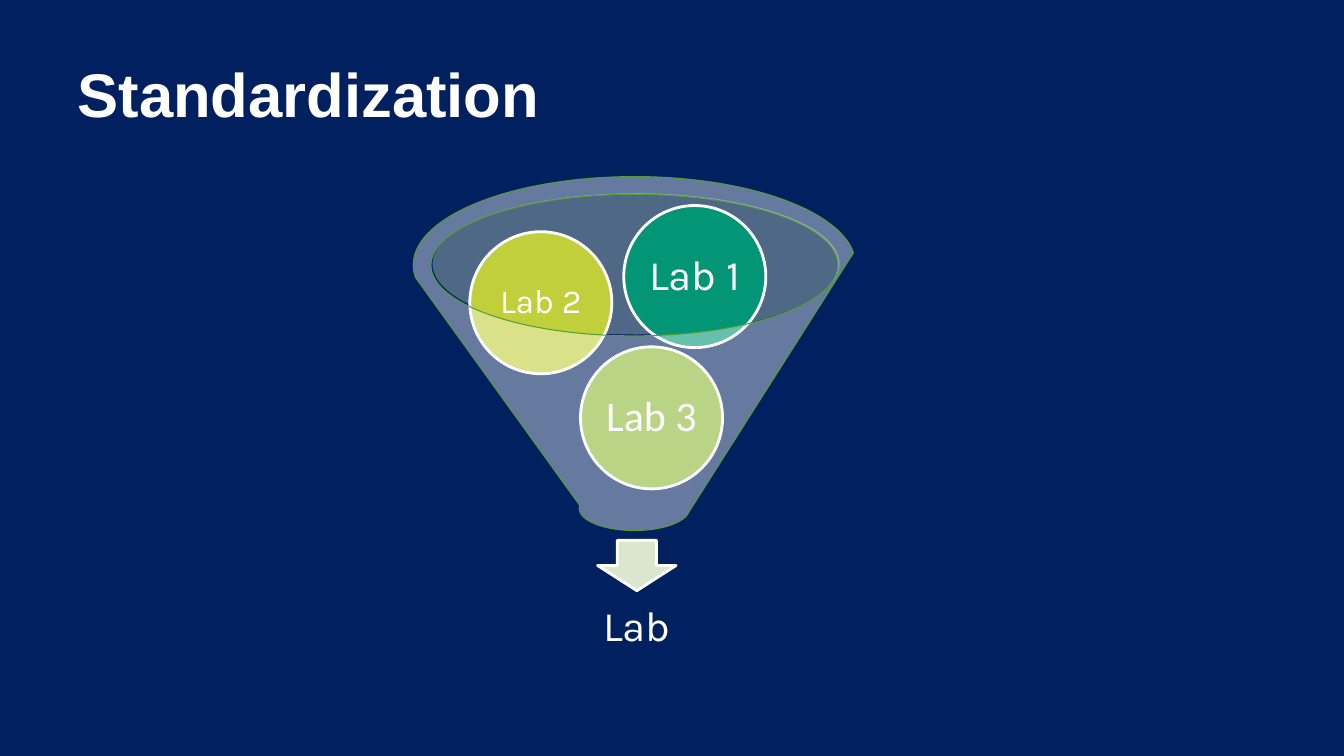
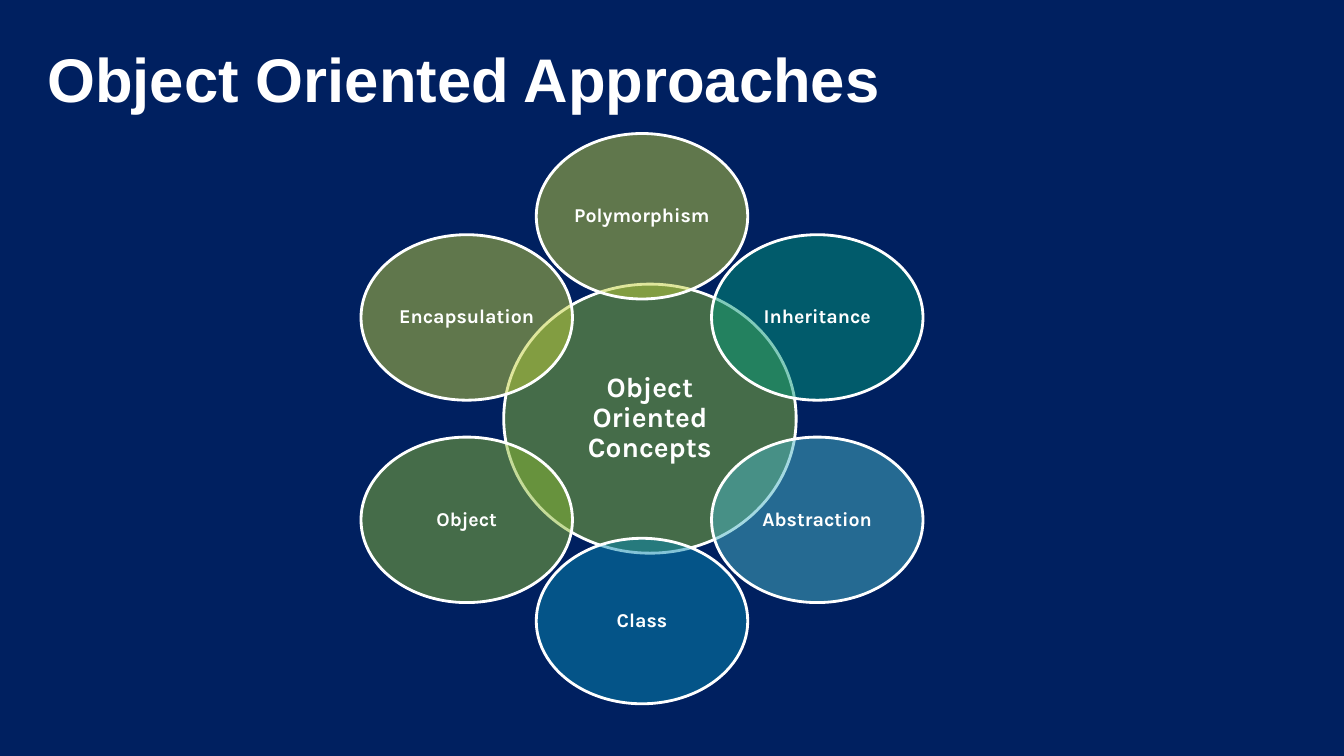
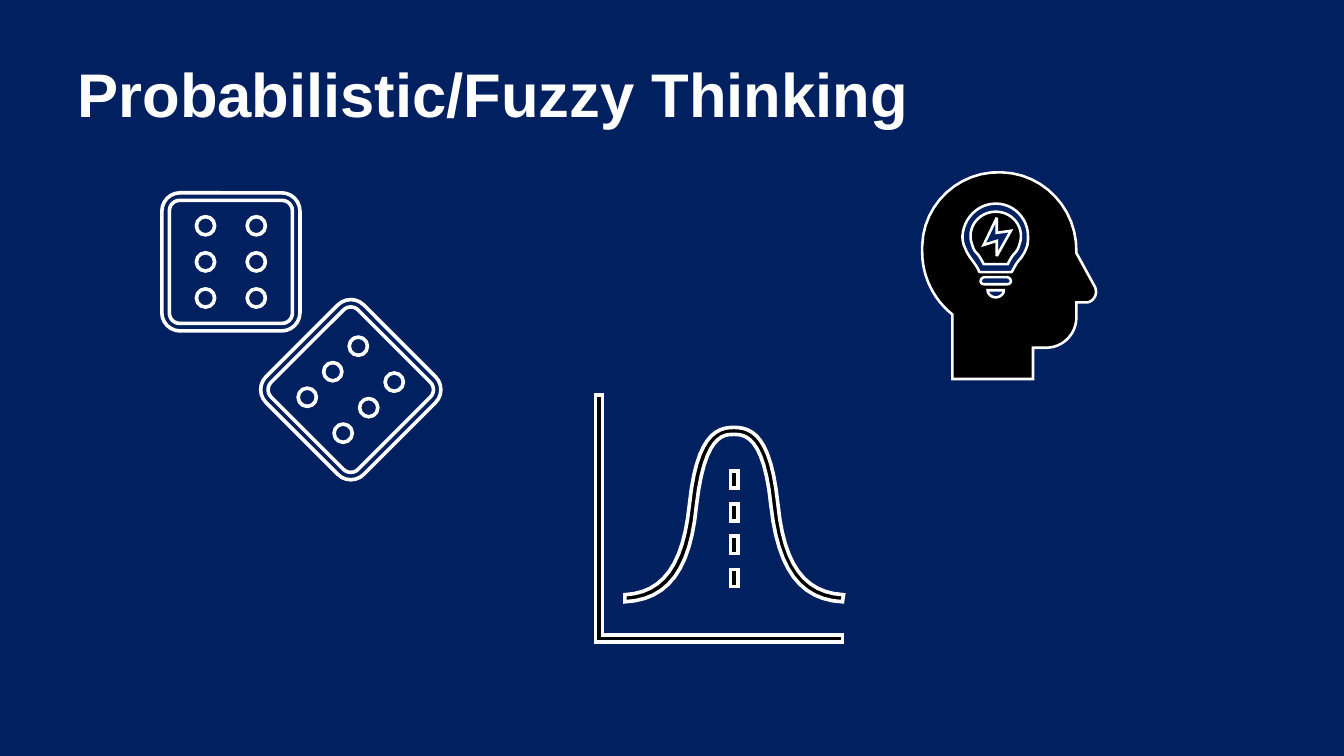
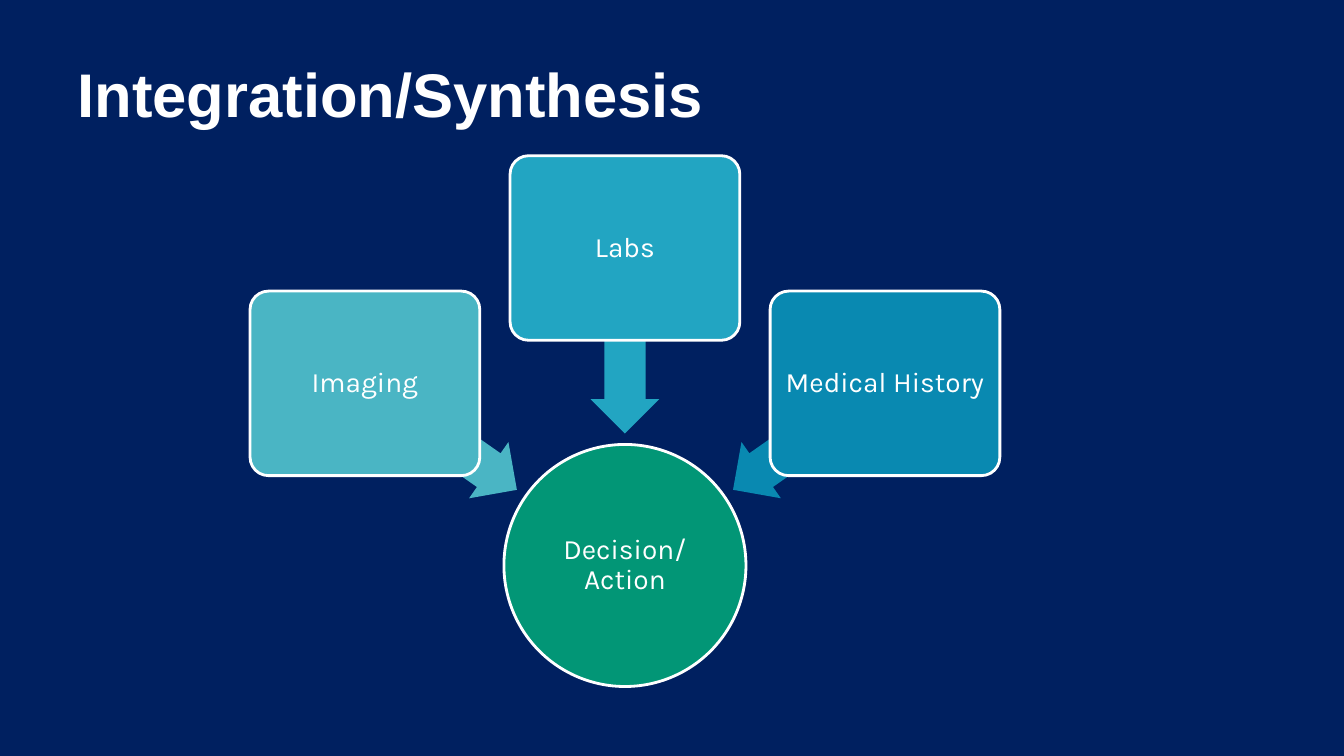
from math import cos, radians, sin

from pptx import Presentation
from pptx.dml.color import RGBColor
from pptx.enum.shapes import MSO_SHAPE
from pptx.enum.text import MSO_ANCHOR, PP_ALIGN
from pptx.oxml.ns import qn
from pptx.util import Cm, Pt
from lxml import etree

OVAL, ROUND = MSO_SHAPE.OVAL, MSO_SHAPE.ROUNDED_RECTANGLE
FUNNEL, DOWN, LEFT_ARROW = MSO_SHAPE.FUNNEL, MSO_SHAPE.DOWN_ARROW, MSO_SHAPE.LEFT_ARROW
RECT = MSO_SHAPE.RECTANGLE
MIDDLE, LEFT, CENTER = MSO_ANCHOR.MIDDLE, PP_ALIGN.LEFT, PP_ALIGN.CENTER

NAVY, WHITE, BLACK = "002060", "FFFFFF", "000000"
GREEN, LIME, LEAF = "029676", "C0CF3A", "8AB833"
AQUA, SKY, BLUE = "4AB5C4", "22A5C2", "0989B1"

TITLE = {"name": "Arial", "size": Pt(44), "bold": True}
TITLE_AT = (1.7, 0.76)
TITLE_SIZE = (30.48, 3.18)

# label, centre x, centre y, fill, font, size
LABS = [
    ("Lab 3", 16.42, 10.53, LEAF, "Calibri", 30),
    ("Lab 2", 13.63, 7.63, LIME, "Karla", 24),
    ("Lab 1", 17.51, 6.97, GREEN, "Karla", 30),
]
# clockwise from the top
CONCEPTS = [
    ("Polymorphism", LIME), ("Inheritance", GREEN), ("Abstraction", AQUA),
    ("Class", BLUE), ("Object", LEAF), ("Encapsulation", LIME),
]
# label, fill, direction from the decision in degrees
INPUTS = [("Imaging", AQUA, 215), ("Labs", SKY, 270), ("Medical History", BLUE, 325)]

# centre x, centre y, turn in degrees
DICE = [(5.82, 6.6, 0), (8.84, 9.82, 45)]

# Icon outlines on a fine grid: a start point, then line ends (x, y)
# or curves (x1, y1, x2, y2, x, y)
GRID = 0.0254
HEAD = [
    [(1085, 282), (1068, 251), (1068, 250), (1069, 208, 1036, 172, 994, 171),
     (952, 169, 916, 202, 915, 244), (915, 246, 915, 248, 915, 250),
     (915, 274, 926, 297, 945, 312), (945, 376), (1025, 376), (1025, 345),
     (1038, 345), (1054, 345, 1068, 332, 1068, 315), (1068, 300), (1079, 300),
     (1085, 299, 1091, 291, 1085, 282)],
    [(988, 295), (984, 295, 980, 292, 980, 288), (996, 288),
     (996, 292, 992, 295, 988, 295)],
    [(999, 282), (977, 282), (975, 282, 973, 281, 973, 279),
     (973, 277, 975, 275, 977, 275), (999, 275),
     (1001, 275, 1003, 277, 1003, 279), (1003, 281, 1001, 282, 999, 282)],
    [(1020, 235), (1020, 239, 1020, 243, 1018, 247),
     (1017, 250, 1015, 253, 1013, 256), (1009, 260, 1007, 264, 1005, 268),
     (1004, 269, 1004, 270, 1003, 270), (973, 270),
     (972, 270, 971, 269, 971, 268), (969, 264, 966, 260, 963, 256),
     (961, 253, 959, 250, 958, 247), (956, 243, 955, 239, 955, 235),
     (955, 234), (956, 217, 970, 202, 988, 202),
     (1006, 202, 1020, 217, 1020, 234)],
]
BULB = [
    [(988, 210), (974, 210, 963, 221, 963, 234), (963, 235),
     (963, 238, 964, 241, 965, 244), (966, 247, 967, 249, 969, 251),
     (972, 254, 974, 258, 976, 262), (1000, 262),
     (1002, 258, 1004, 254, 1007, 251), (1009, 249, 1010, 247, 1011, 244),
     (1012, 241, 1013, 238, 1013, 235), (1013, 234),
     (1013, 221, 1002, 210, 988, 210)],
    [(989, 254), (989, 239), (976, 243), (989, 216), (989, 231), (1003, 229)],
]
CURVE = [
    [(836, 630), (598, 630), (598, 392), (591, 392), (591, 637), (836, 637)],
    [(772, 501), (765, 433, 747, 424, 728, 424), (710, 424, 691, 433, 684, 501),
     (678, 560, 658, 588, 620, 590), (620, 597),
     (663, 595, 685, 565, 691, 502), (699, 431, 718, 431, 728, 431),
     (738, 431, 758, 431, 765, 502), (772, 565, 794, 595, 836, 597),
     (837, 590), (798, 588, 778, 560, 772, 501)],
]
DASHES = [[(725, y), (732, y), (732, y + 17), (725, y + 17)]
          for y in (467, 500, 532, 565)]


def rgb(code):
    return RGBColor.from_string(code)


def polar(x, y, dist, angle):
    turn = radians(angle)
    return x + dist * cos(turn), y + dist * sin(turn)


def style(shape, fill=None, line=None, width=2, alpha=None):
    shape.shadow.inherit = False
    if fill:
        shape.fill.solid()
        shape.fill.fore_color.rgb = rgb(fill)
    else:
        shape.fill.background()
    if alpha:
        color = shape.element.spPr.find(qn("a:solidFill"))[0]
        etree.SubElement(color, qn("a:alpha")).set("val", str(alpha * 1000))
    if line:
        shape.line.color.rgb = rgb(line)
        shape.line.width = Pt(width)
    else:
        shape.line.fill.background()


def write(shape, text, font, align=CENTER):
    frame = shape.text_frame
    frame.word_wrap = True
    frame.vertical_anchor = MIDDLE
    para = frame.paragraphs[0]
    para.text = text
    para.alignment = align
    for key, value in font.items():
        setattr(para.font, key, value)
    para.font.color.rgb = rgb(WHITE)


def label(shape, text, size, name="Karla", bold=False):
    frame = shape.text_frame
    for side in ("left", "top", "right", "bottom"):
        setattr(frame, "margin_" + side, Cm(0.08))
    write(shape, text, {"name": name, "size": Pt(size), "bold": bold})
    frame.paragraphs[0].line_spacing = 0.9


def put(slide, kind, x, y, wide, high, **look):
    """Add a preset shape centred on x, y."""
    shape = slide.shapes.add_shape(
        kind, Cm(x - wide / 2), Cm(y - high / 2), Cm(wide), Cm(high))
    style(shape, **look)
    return shape


def flatten(outline, steps=12):
    """Turn lines and Bezier curves into a list of points."""
    points = [outline[0]]
    for part in outline[1:]:
        if len(part) == 2:
            points.append(part)
            continue
        x0, y0 = points[-1]
        x1, y1, x2, y2, x3, y3 = part
        for step in range(1, steps + 1):
            t = step / steps
            u = 1 - t
            a, b, c, d = u ** 3, 3 * u * u * t, 3 * u * t * t, t ** 3
            points.append((a * x0 + b * x1 + c * x2 + d * x3,
                           a * y0 + b * y1 + c * y2 + d * y3))
    return [(Cm(x * GRID), Cm(y * GRID)) for x, y in points]


def draw(slide, outlines, width):
    pen = None
    for outline in outlines:
        points = flatten(outline)
        if pen is None:
            pen = slide.shapes.build_freeform(*points[0])
        else:
            pen.move_to(*points[0])
        pen.add_line_segments(points[1:], close=True)
    shape = pen.convert_to_shape()
    style(shape, BLACK, WHITE, width)
    edge = shape.element.spPr.find(qn("a:ln"))
    etree.SubElement(edge, qn("a:miter")).set("lim", "800000")


def start(deck, title, at=TITLE_AT):
    slide = deck.slides.add_slide(deck.slide_layouts[5])
    box = slide.shapes.title
    box.left, box.top, box.width, box.height = map(Cm, at + TITLE_SIZE)
    write(box, title, TITLE, LEFT)
    return slide


def standard(deck):
    slide = start(deck, "Standardization")
    put(slide, OVAL, 16.03, 6.65, 10.26, 3.56, fill="C3D6BF", alpha=40)
    put(slide, DOWN, 16.05, 14.25, 1.98, 1.27, fill="DAE6CE", line=WHITE)
    label(put(slide, RECT, 16.05, 15.82, 9.55, 2.39), "Lab", 30)
    for text, x, y, fill, name, size in LABS:
        ball = put(slide, OVAL, x, y, 3.58, 3.58, fill=fill, line=WHITE)
        label(ball, text, size, name)
    put(slide, FUNNEL, 15.99, 8.91, 11.15, 8.92,
        fill=WHITE, alpha=40, line="549E39", width=0.75)


def objects(deck):
    slide = start(deck, "Object Oriented Approaches", (0.94, 0.38))
    look = {"line": WHITE, "alpha": 50}
    hub = put(slide, OVAL, 16.38, 10.55, 7.37, 6.78, fill=LEAF, **look)
    label(hub, "Object Oriented Concepts", 20, bold=True)
    for i, (text, fill) in enumerate(CONCEPTS):
        x, y = polar(16.18, 10.55, 5.1, i * 360 / len(CONCEPTS) - 90)
        petal = put(slide, OVAL, x, y, 5.33, 4.17, fill=fill, **look)
        label(petal, text, 14, bold=True)


def fuzzy(deck):
    slide = start(deck, "Probabilistic/Fuzzy Thinking")
    look = {"line": WHITE, "width": 2.59}
    for x, y, turn in DICE:
        for side, curve in ((3.48, 0.46), (3.1, 0.26)):
            die = put(slide, ROUND, x, y, side, side, **look)
            die.adjustments[0] = curve / side
            die.rotation = turn
        for across in (-0.64, 0.64):
            for down in (-0.91, 0, 0.91):
                spot = polar(*polar(x, y, across, turn), down, turn + 90)
                put(slide, OVAL, *spot, 0.46, 0.46, **look)
    draw(slide, BULB, 1.83)
    draw(slide, HEAD, 1.83)
    draw(slide, CURVE + DASHES, 2.59)


def merge(deck):
    slide = start(deck, "Integration/Synthesis")
    hub = (15.75, 14.25)
    goal = put(slide, OVAL, *hub, 6.1, 6.1, fill=GREEN, line=WHITE)
    label(goal, "Decision/\nAction", 20)
    for text, fill, angle in INPUTS:
        arrow = put(slide, LEFT_ARROW, *polar(*hub, 5.66, angle), 4.67, 1.73, fill=fill)
        arrow.rotation = angle
        arrow.adjustments[0], arrow.adjustments[1] = 0.6, 0.5
        box = put(slide, ROUND, *polar(*hub, 8, angle), 5.79, 4.65, fill=fill, line=WHITE)
        box.adjustments[0] = 0.1
        label(box, text, 20)


def main():
    deck = Presentation()
    deck.slide_width, deck.slide_height = Cm(33.87), Cm(19.05)
    back = deck.slide_master.background.fill
    back.solid()
    back.fore_color.rgb = rgb(NAVY)
    for build in (standard, objects, fuzzy, merge):
        build(deck)
    deck.save("out.pptx")


if __name__ == "__main__":
    main()
